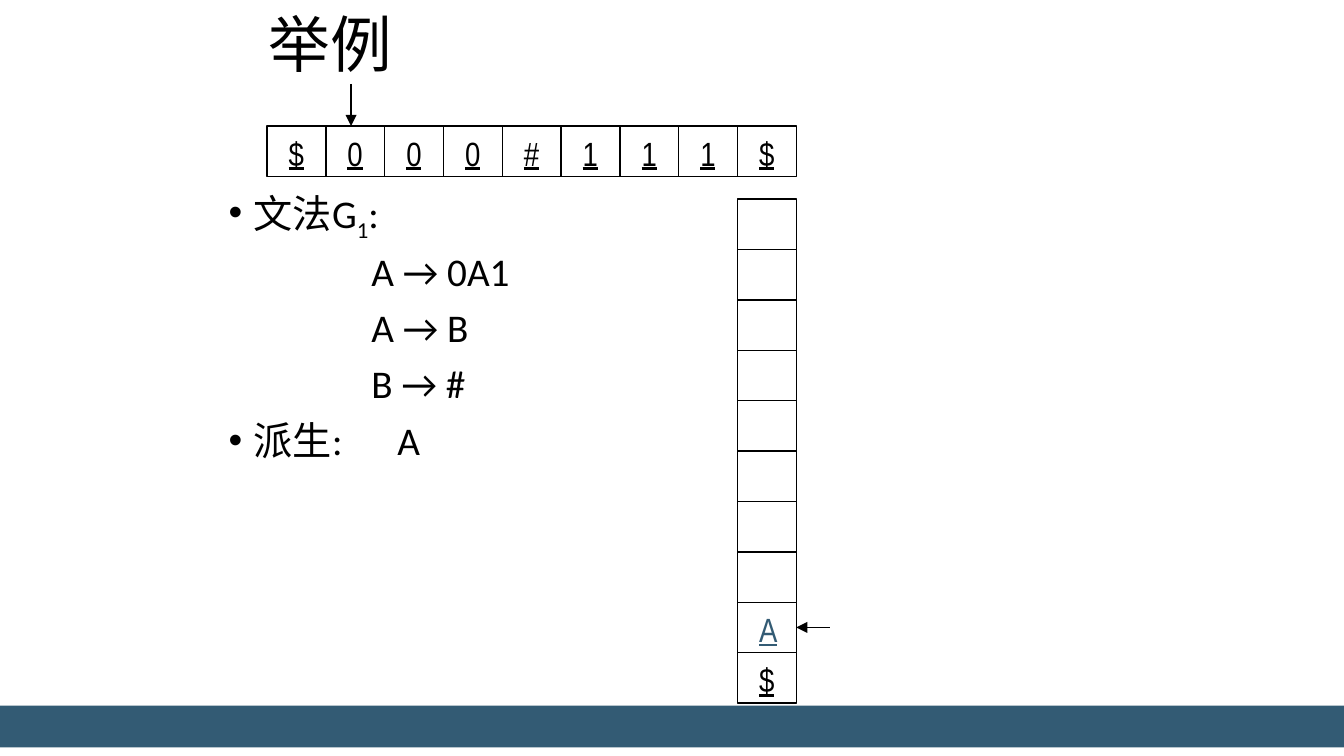
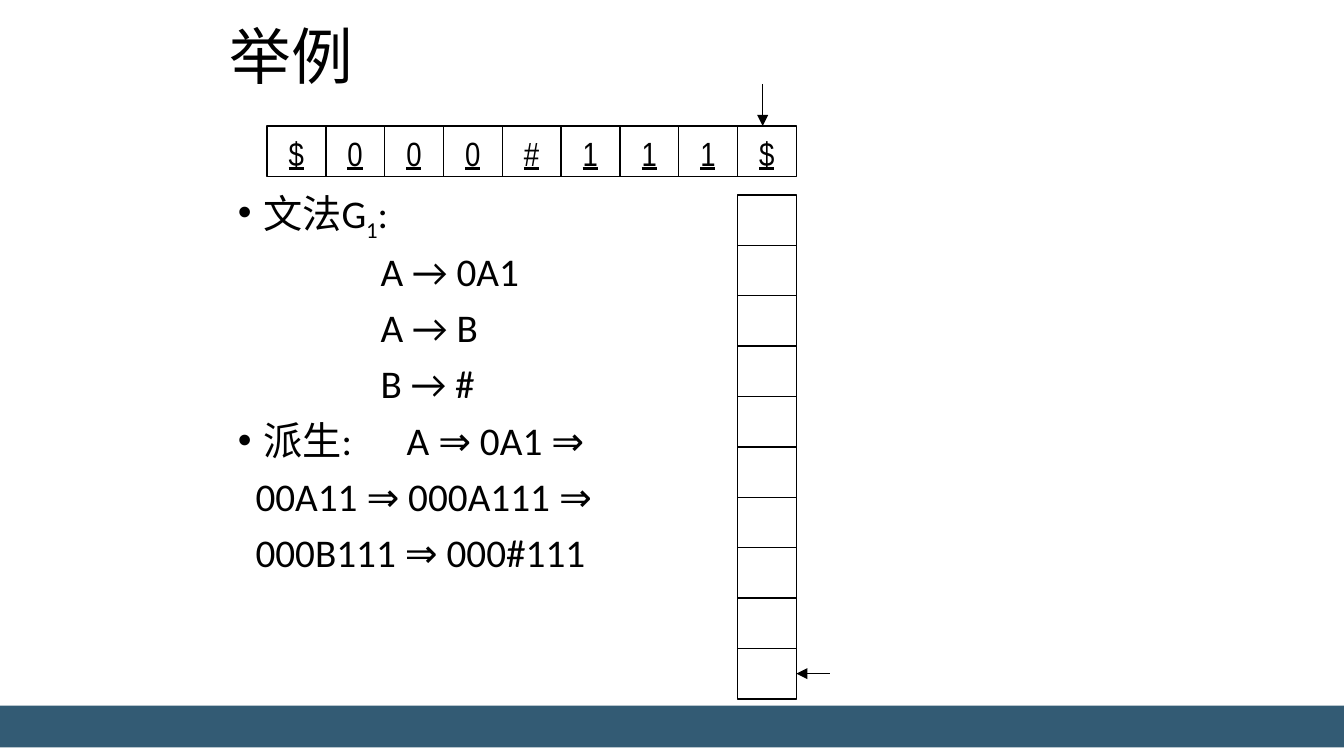
from lxml import etree
from pptx import Presentation
from pptx import util as u
from pptx.dml.color import RGBColor
from pptx.enum import shapes, text
from pptx.oxml import ns

COLOURS = {"ink": "000000", "accent": "335B74"}
FONTS = {"body": "Calibri", "symbol": "Arial Narrow"}

# The slide is a grid of 160 columns by 90 rows
COLS, ROWS = 160, 90
CELL_W, CELL_H = 7, 6
TAPE_LEFT, TAPE_TOP = 31.8, 15
TAPE = "$000#111$"
STACK_LEFT = TAPE_LEFT + (len(TAPE) - 1) * CELL_W
STACK_SIZE = 10

# Paragraph kinds: left margin and first-line indent in columns, bullet
KINDS = {"bullet": (3, -3, True), "rule": (17, 0, False), "step": (2.1, 0, False)}
TAB_STOP = 20.1

GRAMMAR = [
    ("bullet", ["文法G", "1", ":"]),
    ("rule", ["A → 0A1"]),
    ("rule", ["A → B"]),
    ("rule", ["B → #"]),
]


def add_xml(parent, tag, **attrs):
    return etree.SubElement(parent, ns.qn(tag), attrs)


class Deck:
    def __init__(self):
        self.prs = Presentation()
        self.prs.slide_width = u.Inches(10)
        self.prs.slide_height = u.Inches(5.625)
        self.slide = None

    def x(self, cols):
        return int(self.prs.slide_width * cols / COLS)

    def y(self, rows):
        return int(self.prs.slide_height * rows / ROWS)

    def box(self, left, top, width, height):
        return self.x(left), self.y(top), self.x(width), self.y(height)

    def new_slide(self):
        self.slide = self.prs.slides.add_slide(self.prs.slide_layouts[6])

    def style(self, r, size, font="body", colour="ink"):
        r.font.size = u.Pt(size)
        r.font.name = FONTS[font]
        r.font.color.rgb = RGBColor.from_string(COLOURS[colour])

    def rect(self, left, top, width, height, fill=None):
        sp = self.slide.shapes.add_shape(
            shapes.MSO_SHAPE.RECTANGLE, *self.box(left, top, width, height))
        sp.shadow.inherit = False
        if fill:
            sp.fill.solid()
            sp.fill.fore_color.rgb = RGBColor.from_string(COLOURS[fill])
            sp.line.fill.background()
        else:
            sp.fill.background()
            sp.line.color.rgb = RGBColor.from_string(COLOURS["ink"])
            sp.line.width = u.Pt(0.75)

    def frame(self, left, top, width, height):
        sp = self.slide.shapes.add_textbox(*self.box(left, top, width, height))
        tf = sp.text_frame
        tf.word_wrap = True
        tf.vertical_anchor = text.MSO_ANCHOR.TOP
        return tf

    def block(self, left, top, width, height):
        tf = self.frame(left, top, width, height)
        tf.margin_left = tf.margin_right = u.Inches(0.07)
        tf.margin_top = tf.margin_bottom = u.Inches(0.04)
        return tf

    def title(self, words, left, top):
        tf = self.block(left, top, 102, 15)
        tf.text = words
        p = tf.paragraphs[0]
        p.line_spacing = 0.9
        self.style(p.runs[0], 33)

    def body(self, paragraphs, left, width):
        tf = self.block(left, 22, width, 61)
        for i, (kind, parts) in enumerate(paragraphs):
            p = tf.paragraphs[0] if i == 0 else tf.add_paragraph()
            p.line_spacing = 0.9
            p.space_before = u.Pt(7.5)
            for part in parts:
                r = p.add_run()
                r.text = part
                self.style(r, 21)
                if part == "1":
                    r.font._element.set("baseline", "-25000")
            self.indent(p, *KINDS[kind])

    def indent(self, p, margin, first, bullet):
        ppr = p._p.get_or_add_pPr()
        ppr.set("marL", str(self.x(margin)))
        ppr.set("indent", str(self.x(first)))
        if bullet:
            add_xml(ppr, "a:buFont", typeface="Arial")
            add_xml(ppr, "a:buChar", char="•")
            tabs = add_xml(ppr, "a:tabLst")
            add_xml(tabs, "a:tab", pos=str(self.x(TAB_STOP)), algn="l")

    def cell(self, left, top, symbol="", colour="ink"):
        self.rect(left, top, CELL_W, CELL_H)
        if symbol:
            tf = self.frame(left + 1, top, 7 if symbol == "$" else 5, 6.4)
            tf.text = symbol
            r = tf.paragraphs[0].runs[0]
            self.style(r, 18, "symbol", colour)
            r.font.underline = True

    def arrow(self, x1, y1, x2, y2):
        c = self.slide.shapes.add_connector(
            shapes.MSO_CONNECTOR.STRAIGHT, self.x(x1), self.y(y1), self.x(x2), self.y(y2))
        c.line.color.rgb = RGBColor.from_string(COLOURS["ink"])
        c.line.width = u.Pt(0.75)
        add_xml(c.line._get_or_add_ln(), "a:tailEnd", type="triangle")
        add_xml(c._element.spPr, "a:effectLst")

    def tape(self, head):
        for i, symbol in enumerate(TAPE):
            self.cell(TAPE_LEFT + i * CELL_W, TAPE_TOP, symbol)
        x = TAPE_LEFT + head * CELL_W + 3
        self.arrow(x, TAPE_TOP - 5, x, TAPE_TOP)

    def stack(self, top, symbols, pointer):
        for i, symbol in enumerate(symbols.rjust(STACK_SIZE)):
            colour = "accent" if symbol == "A" else "ink"
            self.cell(STACK_LEFT, top + i * CELL_H, symbol.strip(), colour)
        right, y = STACK_LEFT + CELL_W, top + pointer * CELL_H + 3
        self.arrow(right + 4, y, right, y)

    def band(self):
        self.rect(0, 84, COLS, 5, "accent")


def main():
    deck = Deck()

    # Start of the derivation
    deck.new_slide()
    deck.title("举例", 30.9, 1)
    deck.body(GRAMMAR + [("bullet", ["派生:\tA"])], 26.1, 56.3)
    deck.tape(head=1)
    deck.stack(23.7, "A$", pointer=8)
    deck.band()

    # Finished derivation, empty stack
    deck.new_slide()
    deck.title("举例", 26.2, 2.5)
    deck.body(GRAMMAR + [
        ("bullet", ["派生:\tA ⇒ 0A1 ⇒"]),
        ("step", ["00A11 ⇒ 000A111 ⇒"]),
        ("step", ["000B111 ⇒ 000#111"]),
    ], 27.2, 102)
    deck.tape(head=8)
    deck.stack(23.2, "", pointer=9)
    deck.band()

    deck.prs.save("out.pptx")


if __name__ == "__main__":
    main()
